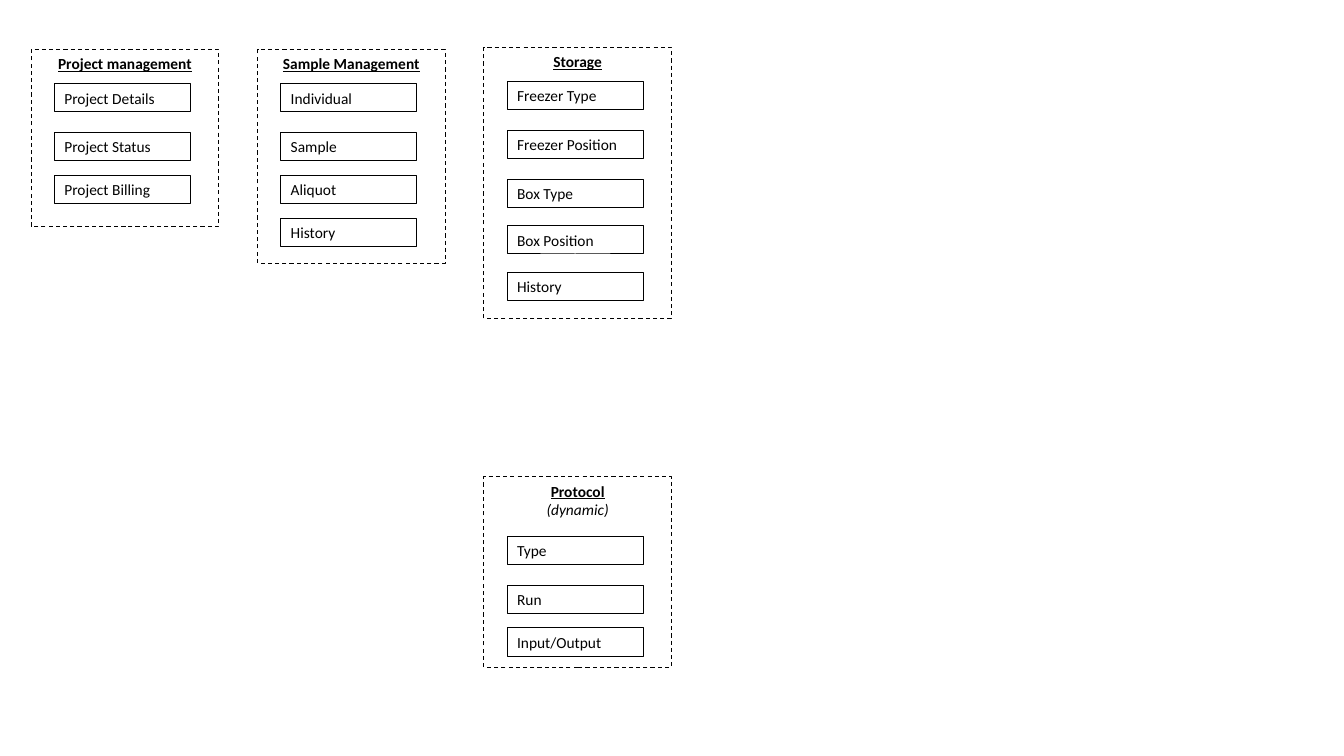
from itertools import accumulate

from pptx import Presentation
from pptx.dml.color import RGBColor
from pptx.enum.dml import MSO_LINE
from pptx.enum.shapes import MSO_SHAPE
from pptx.enum.text import MSO_ANCHOR, PP_ALIGN
from pptx.util import Inches, Pt

MARGIN = 0.31
COLUMN_PITCH = 2.245
MODULE_WIDTH = 1.86
ENTRY_INDENT = 0.23
ENTRY_WIDTH, ENTRY_HEIGHT = 1.35, 0.28
WIDE, MEDIUM, NARROW = 0.485, 0.46, 0.425

MODULES = [
    (0, 0.49, 1.76, "Project management", None, 0.34, [WIDE, NARROW],
     ["Project Details", "Project Status", "Project Billing"]),
    (1, 0.49, 2.12, "Sample Management", None, 0.34, [WIDE, NARROW, NARROW],
     ["Individual", "Sample", "Aliquot", "History"]),
    (2, 0.47, 2.69, "Storage", None, 0.34, [WIDE, WIDE, MEDIUM, MEDIUM],
     ["Freezer Type", "Freezer Position", "Box Type", "Box Position", "History"]),
    (2, 4.73, 1.89, "Protocol", "(dynamic)", 0.59, [WIDE, NARROW],
     ["Type", "Run", "Input/Output"]),
]


def color(value):
    return RGBColor.from_string(value)


def write(paragraph, text, align=PP_ALIGN.LEFT, after=8, bold=False,
          italic=False, underline=False):
    paragraph.alignment = align
    paragraph.space_after = Pt(after)
    run = paragraph.add_run()
    run.text = text
    font = run.font
    font.name, font.size = "Calibri", Pt(11)
    font.bold, font.italic, font.underline = bold, italic, underline
    font.color.rgb = color("000000")


def add_box(shapes, left, top, width, height, dash=None):
    box = shapes.add_shape(MSO_SHAPE.RECTANGLE, Inches(left), Inches(top),
                           Inches(width), Inches(height))
    box.shadow.inherit = False
    box.fill.solid()
    box.fill.fore_color.rgb = color("FFFFFF")
    box.line.color.rgb = color("000000")
    box.line.width = Pt(0.75)
    if dash:
        box.line.dash_style = dash
    box.text_frame.word_wrap = True
    box.text_frame.vertical_anchor = MSO_ANCHOR.TOP
    return box.text_frame


def add_module(slide, column, top, height, title, subtitle, first, steps, entries):
    shapes = slide.shapes.add_group_shape().shapes
    left = MARGIN + column * COLUMN_PITCH
    heading = add_box(shapes, left, top, MODULE_WIDTH, height, MSO_LINE.DASH)
    write(heading.paragraphs[0], title, align=PP_ALIGN.CENTER,
          after=0 if subtitle else 8, bold=True, underline=True)
    if subtitle:
        write(heading.add_paragraph(), subtitle, align=PP_ALIGN.CENTER,
              after=0, italic=True)
    for entry, entry_top in zip(entries, accumulate([top + first, *steps])):
        label = add_box(shapes, left + ENTRY_INDENT, entry_top,
                        ENTRY_WIDTH, ENTRY_HEIGHT)
        write(label.paragraphs[0], entry)


def main():
    deck = Presentation()
    deck.slide_width, deck.slide_height = Inches(13.33), Inches(7.5)
    slide = deck.slides.add_slide(deck.slide_layouts[6])
    for module in MODULES:
        add_module(slide, *module)
    deck.save("out.pptx")


if __name__ == "__main__":
    main()
